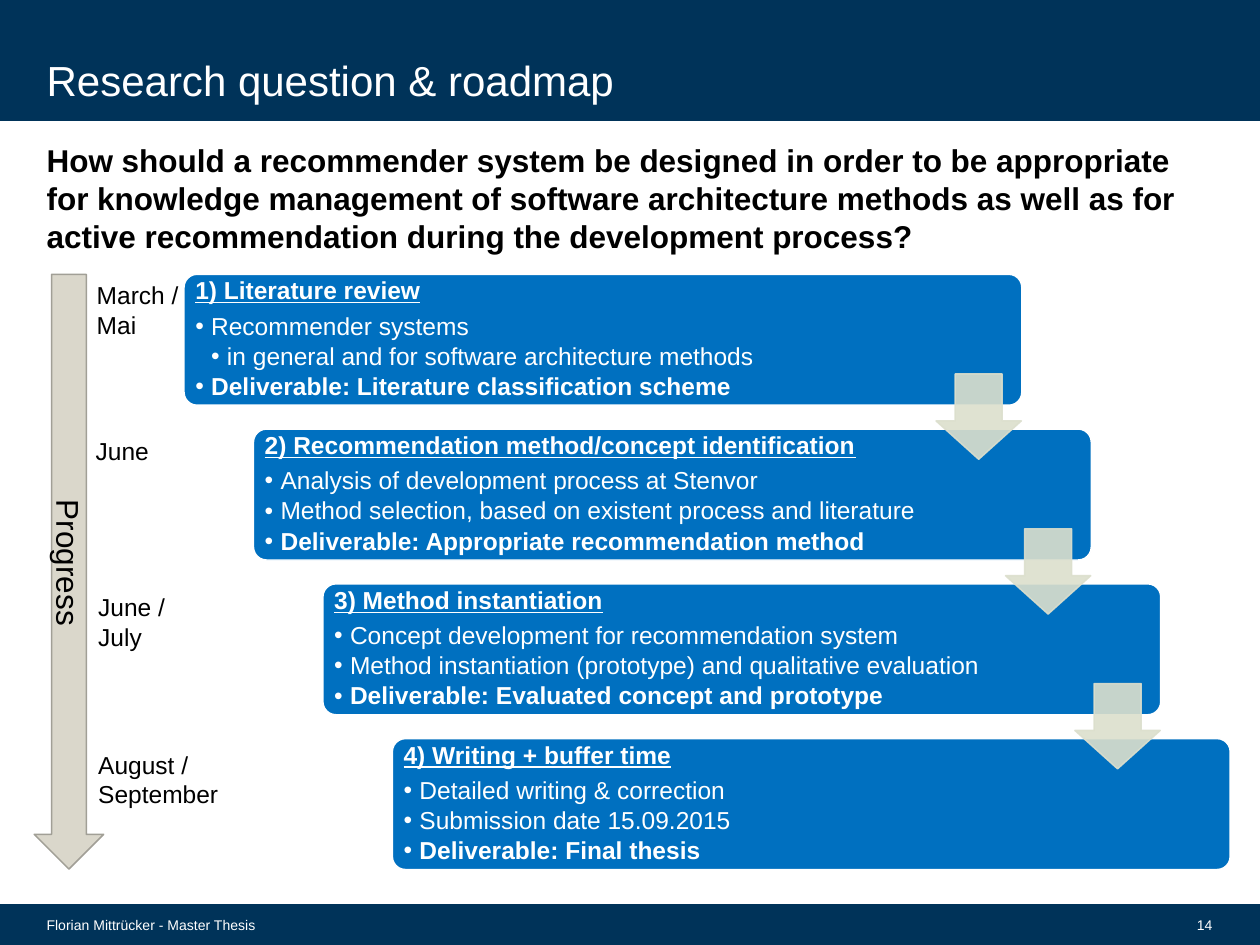
from lxml import etree
from pptx import Presentation
from pptx.dml.color import RGBColor
from pptx.enum.shapes import MSO_SHAPE
from pptx.enum.text import MSO_ANCHOR, PP_ALIGN
from pptx.oxml.ns import qn
from pptx.util import Cm, Pt

RECTANGLE = MSO_SHAPE.RECTANGLE
ROUNDED = MSO_SHAPE.ROUNDED_RECTANGLE
DOWN_ARROW = MSO_SHAPE.DOWN_ARROW
TOP, MIDDLE, BOTTOM = MSO_ANCHOR.TOP, MSO_ANCHOR.MIDDLE, MSO_ANCHOR.BOTTOM
LEFT, CENTER, RIGHT = PP_ALIGN.LEFT, PP_ALIGN.CENTER, PP_ALIGN.RIGHT

NAVY, BLUE, SAGE = "003359", "0070C0", "DCDFCD"
SAND, GREY, WHITE, BLACK = "DAD7CB", "A19F96", "FFFFFF", "000000"

STEP_LEFT, STEP_TOP, STEP_WIDTH, STEP_HEIGHT = 3.71, 5.53, 16.89, 2.64
SHIFT_RIGHT, SHIFT_DOWN = 1.4, 3.12
ARROW_LEFT, ARROW_TOP, ARROW_SIZE = 18.87, 7.54, 1.72
INDENT = 0.32

STEPS = [
    ("1) Literature review", [
        (1, "Recommender systems"),
        (2, "in general and for software architecture methods"),
        (1, "Deliverable: Literature classification scheme")]),
    ("2) Recommendation method/concept identification", [
        (1, "Analysis of development process at Stenvor"),
        (1, "Method selection, based on existent process and literature"),
        (1, "Deliverable: Appropriate recommendation method")]),
    ("3) Method instantiation", [
        (1, "Concept development for recommendation system"),
        (1, "Method instantiation (prototype) and qualitative evaluation"),
        (1, "Deliverable: Evaluated concept and prototype")]),
    ("4) Writing + buffer time", [
        (1, "Detailed writing & correction"),
        (1, "Submission date 15.09.2015"),
        (1, "Deliverable: Final thesis")]),
]
MONTHS = [
    ("March / Mai", 1.7, 5.52, 2.36),
    ("June", 1.68, 8.66, 2.36),
    ("June / July", 1.73, 11.81, 2.36),
    ("August / September", 1.73, 14.98, 3.18),
]
QUESTION = ("How should a recommender system be designed in order to be appropriate "
            "for knowledge management of software architecture methods as well as for "
            "active recommendation during the development process?")


def color(value):
    """Turn a hex string into a colour."""
    return RGBColor.from_string(value)


def apply(target, values):
    """Set every attribute named in a dict."""
    for name, value in values.items():
        setattr(target, name, value)


def write(para, text, size, ink, **style):
    """Add one formatted run to a paragraph."""
    span = para.add_run()
    span.text = text
    apply(span.font, {"name": "Arial", "size": Pt(size), **style})
    span.font.color.rgb = color(ink)


def add_text(page, area, text, size, ink, anchor=TOP, align=LEFT, bold=False,
             margin=0.13):
    """Add a text box with a single paragraph."""
    box = page.shapes.add_textbox(*map(Cm, area))
    apply(box.text_frame, {"word_wrap": True, "vertical_anchor": anchor,
                           "margin_top": Cm(margin), "margin_bottom": Cm(margin)})
    para = box.text_frame.paragraphs[0]
    para.alignment = align
    write(para, text, size, ink, bold=bold)


def add_block(page, kind, area, fill, line, width=0.85, adjustments=()):
    """Add a filled preset shape without a shadow."""
    shape = page.shapes.add_shape(kind, *map(Cm, area))
    shape.shadow.inherit = False
    shape.fill.solid()
    shape.fill.fore_color.rgb = color(fill)
    shape.line.color.rgb = color(line)
    shape.line.width = Pt(width)
    for index, value in enumerate(adjustments):
        shape.adjustments[index] = value
    return shape


def set_bullet(para, level):
    """Give a paragraph a hanging bullet."""
    properties = para._p.get_or_add_pPr()
    properties.set("marL", str(Cm(INDENT * level)))
    properties.set("indent", str(-Cm(INDENT)))
    etree.SubElement(properties, qn("a:buFont")).set("typeface", "Arial")
    etree.SubElement(properties, qn("a:buChar")).set("char", "•")


def add_step(page, index, heading, points):
    """Add one roadmap step with its heading and bullets."""
    area = (STEP_LEFT + index * SHIFT_RIGHT, STEP_TOP + index * SHIFT_DOWN,
            STEP_WIDTH, STEP_HEIGHT)
    frame = add_block(page, ROUNDED, area, BLUE, WHITE, adjustments=[0.1]).text_frame
    sides = ("margin_left", "margin_top", "margin_right", "margin_bottom")
    apply(frame, {"word_wrap": True, "vertical_anchor": MIDDLE,
                  **dict.fromkeys(sides, Cm(0.15))})
    para = frame.paragraphs[0]
    apply(para, {"alignment": LEFT, "line_spacing": 0.9, "space_after": Pt(4.9)})
    write(para, heading, 14, WHITE, bold=True, underline=True)
    for level, text in points:
        para = frame.add_paragraph()
        apply(para, {"alignment": LEFT, "line_spacing": 0.9, "space_after": Pt(2.1)})
        set_bullet(para, level)
        write(para, text, 14, WHITE, bold=text.startswith("Deliverable"))


def add_step_arrow(page, index):
    """Add the translucent arrow that leads to the next step."""
    area = (ARROW_LEFT + index * SHIFT_RIGHT, ARROW_TOP + index * SHIFT_DOWN,
            ARROW_SIZE, ARROW_SIZE)
    arrow = add_block(page, DOWN_ARROW, area, SAGE, SAGE, adjustments=[0.55, 0.45])
    for tone in arrow._element.spPr.iter(qn("a:srgbClr")):
        etree.SubElement(tone, qn("a:alpha")).set("val", "90000")


def add_progress(page):
    """Add the tall arrow with its rotated label."""
    arrow = add_block(page, DOWN_ARROW, (0.69, 5.53, 1.4, 11.99), SAND, GREY)
    frame = arrow.text_frame
    frame.vertical_anchor = MIDDLE
    frame._txBody.bodyPr.set("vert", "vert")
    frame.paragraphs[0].alignment = CENTER
    write(frame.paragraphs[0], "Progress", 18, BLACK)


def main():
    """Build the roadmap slide."""
    deck = Presentation()
    apply(deck, {"slide_width": Cm(25.4), "slide_height": Cm(19.05)})
    page = deck.slides.add_slide(deck.slide_layouts[6])
    for top, height in ((18.24, 0.81), (0, 2.42)):
        add_block(page, RECTANGLE, (0, top, 25.4, height), NAVY, NAVY, 1.35)
    add_text(page, (0.69, 0.11, 20.93, 2), "Research question & roadmap", 24, WHITE,
             anchor=BOTTOM, margin=0)
    add_text(page, (0.69, 2.72, 24, 2.6), QUESTION, 18, BLACK, bold=True)
    add_text(page, (0.69, 18.24, 5.41, 0.81), "Florian Mittrücker - Master Thesis", 8,
             WHITE, anchor=MIDDLE)
    add_text(page, (23.19, 18.24, 1.5, 0.81), "14", 8, WHITE, anchor=MIDDLE, align=RIGHT)
    for index, (heading, points) in enumerate(STEPS):
        add_step(page, index, heading, points)
    for index in range(len(STEPS) - 1):
        add_step_arrow(page, index)
    add_progress(page)
    for text, left, top, width in MONTHS:
        add_text(page, (left, top, width, 1.45), text, 14, BLACK)
    deck.save("out.pptx")


if __name__ == "__main__":
    main()
